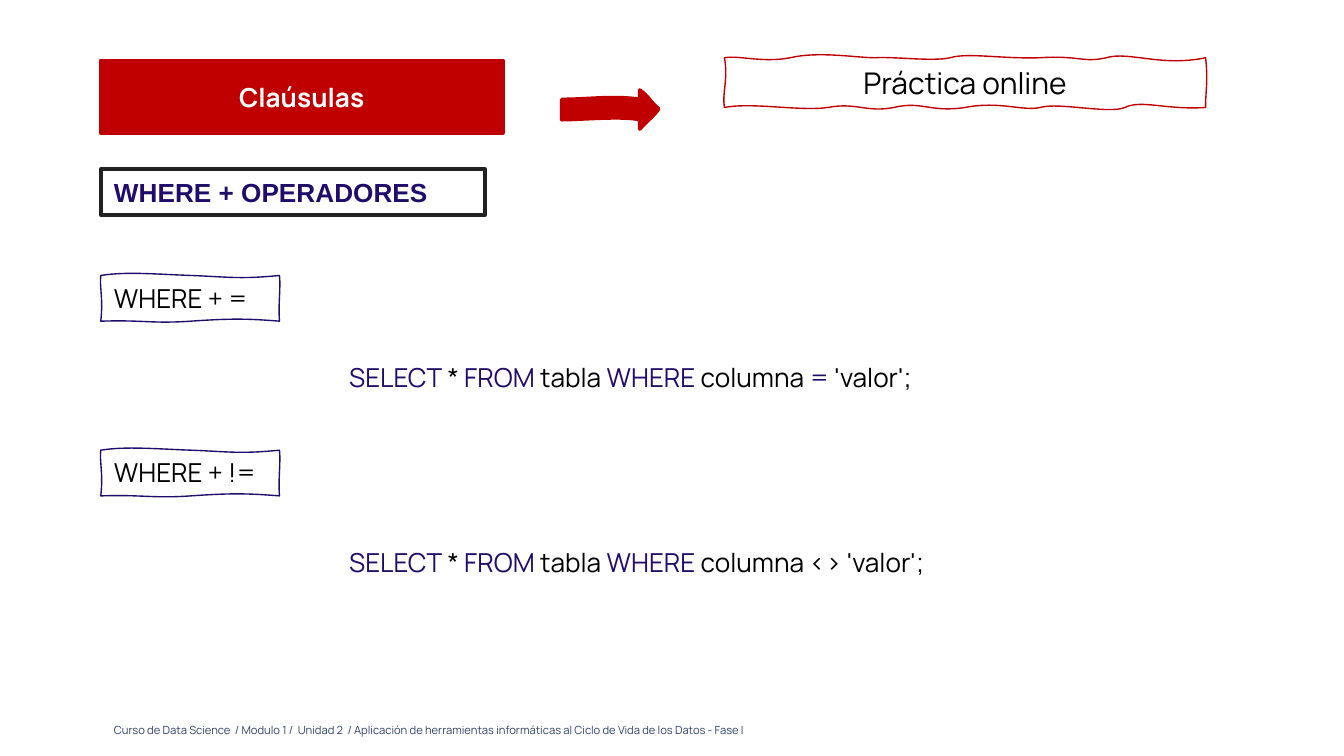
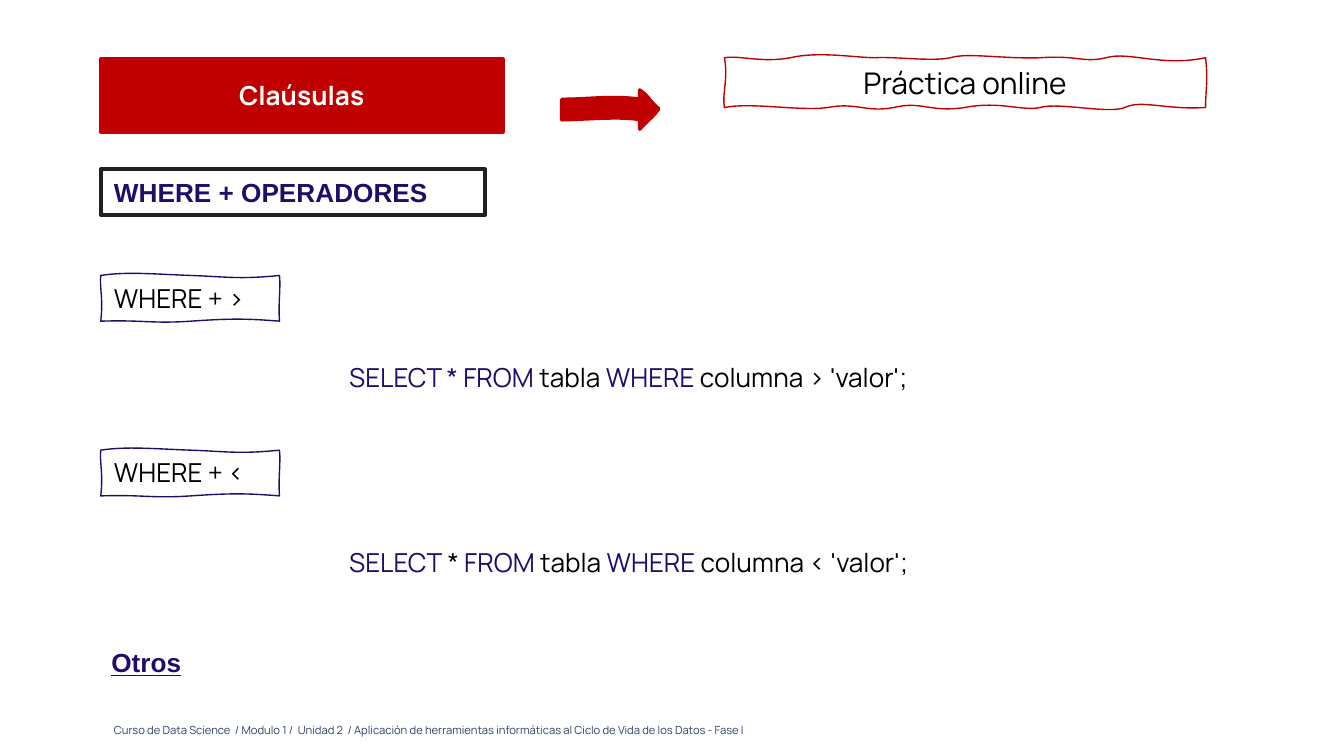
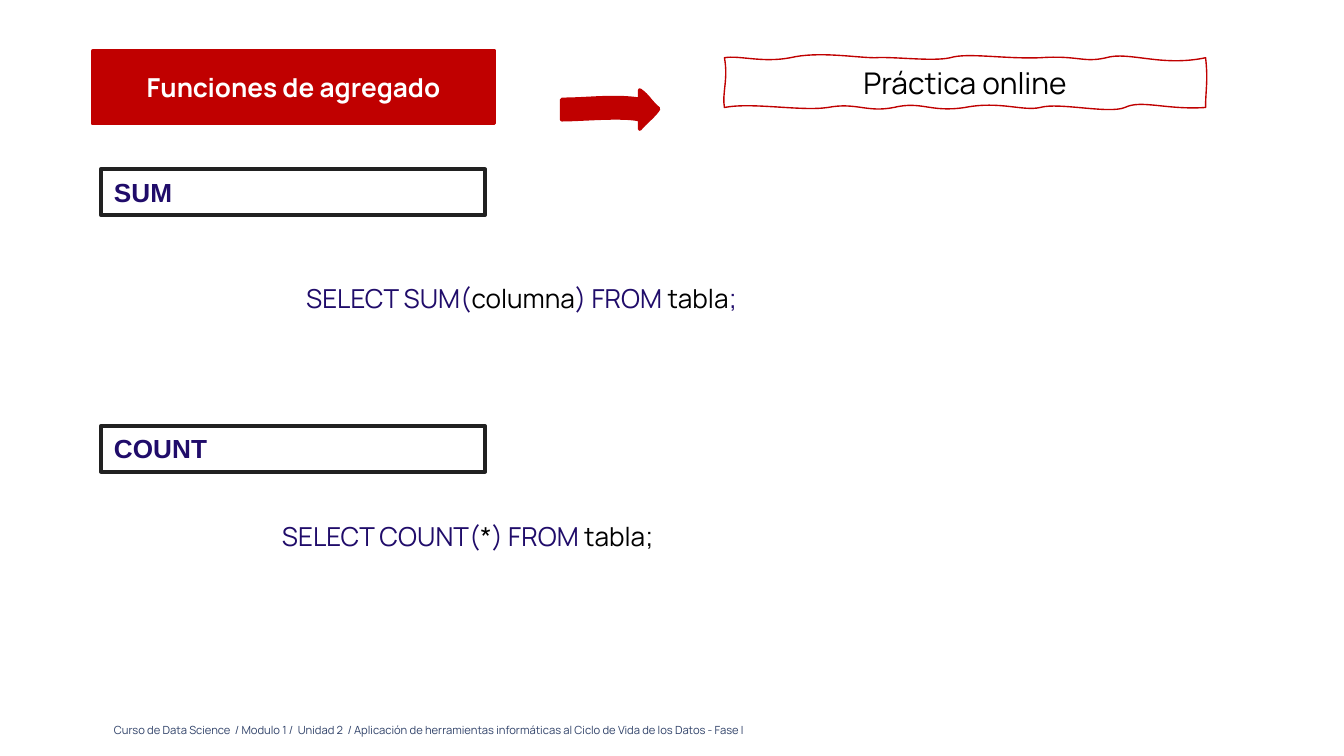
from lxml import etree
from pptx import Presentation
from pptx.dml.color import RGBColor
from pptx.enum.shapes import MSO_SHAPE as Kind
from pptx.enum.text import MSO_ANCHOR as Anchor, MSO_AUTO_SIZE as Fit, PP_ALIGN as Align
from pptx.oxml.ns import qn
from pptx.util import Emu, Pt

RED = RGBColor(0xC0, 0x00, 0x00)
NAVY = RGBColor(0x20, 0x0C, 0x6A)
SLATE = RGBColor(0x30, 0x42, 0x69)
INK = RGBColor(0x21, 0x21, 0x21)
BLACK = RGBColor(0, 0, 0)
WHITE = RGBColor(255, 255, 255)
SANS, HEAD = "Manrope", "Arial"
WIDE = 1000
EDGE = 75
FOOT = ("Curso de Data Science  / Modulo 1 /  Unidad 2  / Aplicación de herramientas "
        "informáticas al Ciclo de Vida de los Datos - Fase I")

BAND = [
    ("""0,0 15,-1 38,0 66,0 94,0 103,7 132,0 160,-7 166,3 182,0 198,-3 216,3 233,0
        250,-3 275,2 299,0 303,14 293,31 299,54 278,59 261,47 245,54 229,60 206,48 182,54
        158,59 144,47 120,54 95,61 79,53 66,54 52,54 31,47 0,54 0,30 2,12 0,0""",
     {"fill": "none"}),
    ("""0,0 15,-4 34,4 51,0 68,-5 91,6 111,0 130,-6 148,5 170,0 193,-5 211,6 224,0
        237,-6 279,2 299,0 301,25 295,28 299,54 282,56 268,52 239,54 210,55 203,53 185,54
        167,54 151,48 120,54 88,59 91,53 66,54 41,54 18,51 0,54 -2,33 6,20 0,0""",
     {"stroke": "0"}),
]
ARROW = [
    ("""0,7 20,7 39,4 58,7 58,3 58,3 58,0 65,5 65,8 72,14 68,20 62,24 58,29
        58,26 58,24 58,22 45,19 14,22 0,22 0,17 0,11 0,7""", {"fill": "none"}),
    ("""0,7 20,7 41,6 58,7 58,5 58,1 58,0 61,4 66,9 72,14 67,19 63,24 58,29
        58,26 58,25 58,22 37,21 19,19 0,22 1,17 0,11 0,7""", {"stroke": "0"}),
]
FRAME = [
    ("""0,0 11,-2 28,4 49,0 70,-5 98,0 112,0 126,-1 155,3 168,0 181,-4 207,1 235,0
        263,-2 267,4 284,0 301,-5 325,7 358,0 360,17 358,24 358,37 329,39 310,31 298,37
        286,42 249,33 235,37 222,40 205,32 179,37 153,41 147,32 126,37 106,41 98,33 77,37
        57,40 21,33 0,37 -2,27 3,16 0,0""", {}),
]
LABEL = [
    ("""0,0 19,-3 40,-1 67,0 94,1 103,3 133,0 134,10 132,21 133,34
        108,32 96,32 67,34 38,36 32,33 0,34 2,17 -1,9 0,0""", {}),
]


def px(n):
    return Emu(n * 9144)


class Deck:
    def __init__(self):
        self.prs = Presentation()
        self.prs.slide_width = px(WIDE)
        self.prs.slide_height = px(WIDE) * 9 // 16

    def page(self, title, left, top):
        self.slide = self.prs.slides.add_slide(self.prs.slide_layouts[5])
        self.foot()
        self.arrow()
        self.title(title, left, top)
        self.online()

    def place(self, shape, box):
        shape.left, shape.top, shape.width, shape.height = map(px, box)

    def bend(self, shape, box, waves):
        props = shape._element.spPr
        for old in props.findall(qn("a:prstGeom")):
            props.remove(old)
        geom = etree.Element(qn("a:custGeom"))
        for name in ("avLst", "gdLst", "ahLst", "cxnLst"):
            etree.SubElement(geom, qn(f"a:{name}"))
        etree.SubElement(geom, qn("a:rect"), l="l", t="t", r="r", b="b")
        curves = etree.SubElement(geom, qn("a:pathLst"))
        for data, flags in waves:
            wave = etree.SubElement(curves, qn("a:path"), w=str(box[2]), h=str(box[3]), **flags)
            step = etree.SubElement(wave, qn("a:moveTo"))
            for i, point in enumerate(data.split()):
                if i % 3 == 1:
                    step = etree.SubElement(wave, qn("a:cubicBezTo"))
                x, y = point.split(",")
                etree.SubElement(step, qn("a:pt"), x=x, y=y)
            etree.SubElement(wave, qn("a:close"))
        props.insert(1, geom)

    def paint(self, shape, fill, line, width):
        if fill is None:
            shape.fill.background()
        else:
            shape.fill.solid()
            shape.fill.fore_color.rgb = fill
        shape.line.color.rgb = line
        shape.line.width = Pt(width)

    def shape(self, box, fill, line, width, waves=None):
        shape = self.slide.shapes.add_shape(Kind.RECTANGLE, *map(px, box))
        shape.shadow.inherit = False
        if waves:
            self.bend(shape, box, waves)
        self.paint(shape, fill, line, width)
        return shape

    def label_text(self, shape, text, size=14, color=BLACK, face=SANS, bold=False,
                   align=Align.LEFT, anchor=Anchor.TOP, fit=Fit.SHAPE_TO_FIT_TEXT):
        frame = shape.text_frame
        frame.word_wrap = True
        frame.auto_size = fit
        frame.vertical_anchor = anchor
        para = frame.paragraphs[0]
        para.text = text
        para.alignment = align
        font = para.font
        font.size, font.name, font.bold = Pt(size), face, bold
        font.color.rgb = color
        return para

    def text(self, box, text, **style):
        shape = self.slide.shapes.add_textbox(*map(px, box))
        return shape, self.label_text(shape, text, **style)

    def title(self, text, left, top):
        box = left, top, 299, 54
        shape = self.slide.shapes.title
        self.place(shape, box)
        self.bend(shape, box, BAND)
        self.paint(shape, RED, RED, 2)
        self.label_text(shape, text, color=WHITE, bold=True, align=Align.CENTER,
                        anchor=Anchor.MIDDLE, fit=Fit.NONE)

    def foot(self):
        shape, _ = self.text((EDGE, 528, 674, 24), FOOT, size=6, color=SLATE, fit=Fit.NONE)
        frame = shape.text_frame
        frame.margin_top = frame.margin_bottom = px(10)

    def arrow(self):
        self.shape((418, 67, 72, 29), RED, RED, 2, ARROW)

    def online(self):
        shape = self.shape((539, 43, 358, 37), None, RED, 0.75, FRAME)
        self.label_text(shape, "Práctica online", size=16, align=Align.CENTER)

    def topic(self, text, top=126):
        shape = self.shape((EDGE, top, 286, 34), WHITE, INK, 2)
        self.label_text(shape, text, color=NAVY, face=HEAD, bold=True)

    def label(self, text, top):
        shape = self.shape((EDGE, top, 133, 34), None, NAVY, 0.75, LABEL)
        self.label_text(shape, text)

    def code(self, parts, left, top, margin=0, indent=0):
        _, para = self.text((left, top, 500, 34), "")
        if margin:
            props = para._p.get_or_add_pPr()
            props.set("marL", str(px(margin)))
            props.set("indent", str(px(indent)))
        for i, part in enumerate(parts):
            run = para.add_run()
            run.text = part
            run.font.color.rgb = BLACK if i % 2 else NAVY

    def pairs(self, *rows):
        self.topic("WHERE + OPERADORES")
        for (sign, parts), top, line in zip(rows, (205, 335), (264, 402)):
            self.label(f"WHERE + {sign}", top)
            self.code(parts, 250, line)

    def save(self):
        self.prs.save("out.pptx")


def main():
    deck = Deck()
    query = ["SELECT", " * ", "FROM", " tabla ", "WHERE"]

    deck.page("Claúsulas", EDGE, 45)
    deck.pairs(("=", query + [" columna ", "=", " 'valor';"]),
               ("!=", query + [" columna <> 'valor';"]))

    deck.page("Claúsulas", EDGE, 44)
    deck.pairs((">", ["SELECT * FROM ", "tabla", " WHERE ", "columna > 'valor';"]),
               ("<", query + [" columna < 'valor';"]))
    _, para = deck.text((73, 476, 271, 34), "Otros", color=NAVY, face=HEAD, bold=True)
    para.font.underline = True

    deck.page("Funciones de agregado", 69, 38)
    deck.topic("SUM")
    deck.code(["SELECT SUM(", "columna", ") FROM ", "tabla", ";"], 218, 205)
    deck.topic("COUNT", 317)
    deck.code(["SELECT COUNT(", "*", ") FROM ", "tabla;"], 50, 382, margin=100, indent=50)
    deck.save()


if __name__ == "__main__":
    main()
